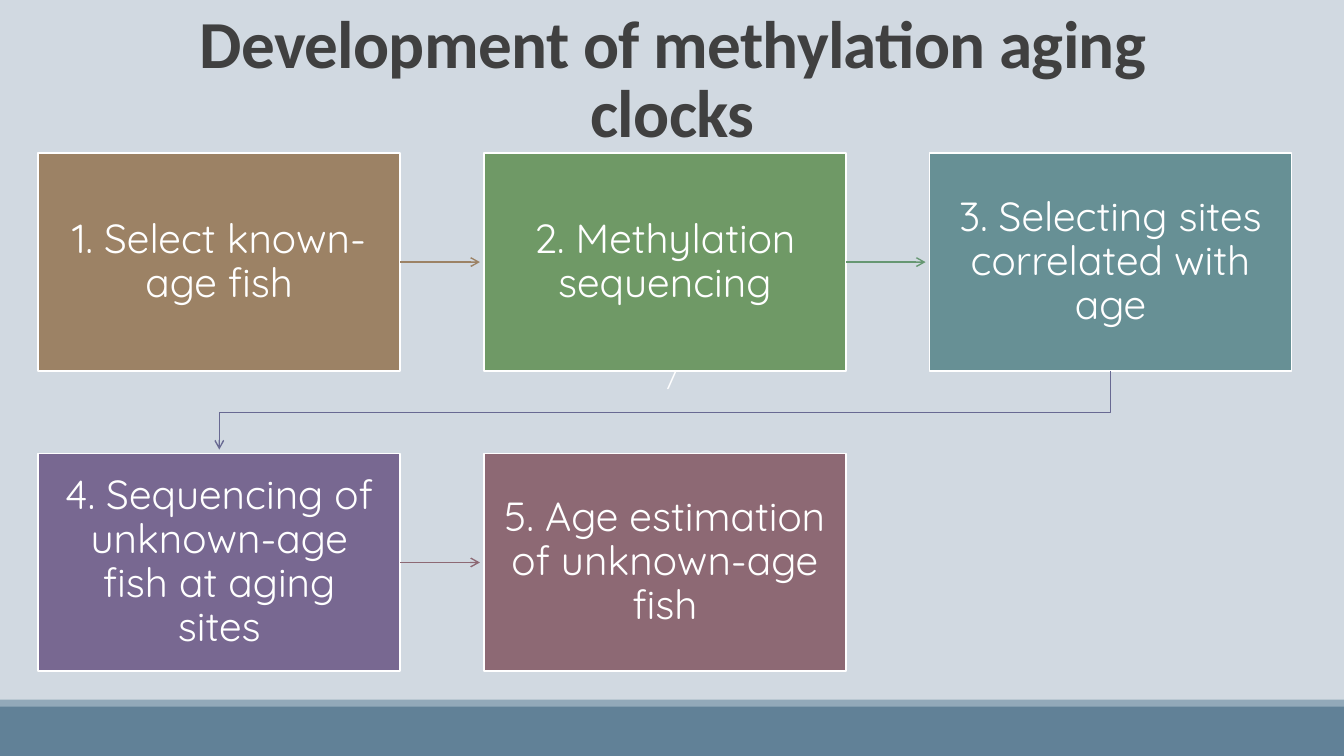
import pptx
import pptx.dml.color
import pptx.enum.shapes
import pptx.enum.text
import pptx.oxml
import pptx.oxml.ns
import pptx.util

Inches = pptx.util.Inches
Pt = pptx.util.Pt
RGBColor = pptx.dml.color.RGBColor

BACKGROUND = RGBColor(0xD1, 0xD9, 0xE1)
FOOTER = RGBColor(0x61, 0x81, 0x97)
FOOTER_EDGE = RGBColor(0x92, 0xA9, 0xB9)
TITLE_GRAY = RGBColor(0x40, 0x40, 0x40)
WHITE = RGBColor(0xFF, 0xFF, 0xFF)
BROWN = RGBColor(0x9C, 0x82, 0x65)
GREEN = RGBColor(0x6F, 0x99, 0x66)
TEAL = RGBColor(0x67, 0x90, 0x95)
PURPLE = RGBColor(0x78, 0x68, 0x91)
ROSE = RGBColor(0x8D, 0x69, 0x74)
ARROW_GREEN = RGBColor(0x66, 0x97, 0x72)
ARROW_BLUE = RGBColor(0x68, 0x69, 0x92)

SLIDE_WIDTH, SLIDE_HEIGHT = 13.33, 7.5
BOX_WIDTH, BOX_HEIGHT = 3.59, 2.16
LEFT, TOP = 0.38, 1.52
COLUMN_STEP, ROW_STEP = 4.42, 2.98
COLUMNS = 3
ARROW_GAP = 0.04

STEPS = [
    ("1. Select known-age fish", BROWN),
    ("2. Methylation sequencing", GREEN),
    ("3. Selecting sites correlated with age", TEAL),
    ("4. Sequencing of unknown-age fish at aging sites", PURPLE),
    ("5. Age estimation of unknown-age fish", ROSE),
]
ARROW_COLORS = [BROWN, ARROW_GREEN, ARROW_BLUE, ROSE]


class SlideBuilder:
    """Holds the slide and the shared style."""

    title_font = "Calibri"
    step_font = "Quicksand"

    def __init__(self, slide):
        self.slide = slide
        self.shapes = slide.shapes

    def set_text(self, shape, text, font, size, color, spacing=1.0, inset=None):
        frame = shape.text_frame
        frame.word_wrap = True
        frame.vertical_anchor = pptx.enum.text.MSO_ANCHOR.MIDDLE
        if inset is not None:
            frame.margin_left = frame.margin_right = Inches(inset)
            frame.margin_top = frame.margin_bottom = Inches(inset)
        paragraph = frame.paragraphs[0]
        paragraph.text = text
        paragraph.alignment = pptx.enum.text.PP_ALIGN.CENTER
        paragraph.line_spacing = spacing
        paragraph.font.name = font
        paragraph.font.size = Pt(size)
        paragraph.font.color.rgb = color
        return paragraph

    def rectangle(self, left, top, width, height, fill, line=None):
        shape = self.shapes.add_shape(
            pptx.enum.shapes.MSO_SHAPE.RECTANGLE,
            Inches(left), Inches(top), Inches(width), Inches(height))
        shape.shadow.inherit = False
        shape.fill.solid()
        shape.fill.fore_color.rgb = fill
        if line is None:
            shape.line.fill.background()
        else:
            shape.line.color.rgb = line
            shape.line.width = Pt(1.25)
        return shape

    def title(self, text):
        box = self.shapes.add_textbox(
            Inches(1.17), Inches(0.17), Inches(11), Inches(1.3))
        paragraph = self.set_text(box, text, self.title_font, 48, TITLE_GRAY, 0.85)
        paragraph.font.bold = True
        paragraph.runs[0].font._element.set("spc", "-50")

    def step(self, left, top, text, fill):
        box = self.rectangle(left, top, BOX_WIDTH, BOX_HEIGHT, fill, WHITE)
        self.set_text(box, text, self.step_font, 29, WHITE, 0.9, 0.18)
        return box

    def arrow_line(self, shape, color):
        shape.line.color.rgb = color
        shape.line.width = Pt(1)
        outline = shape.line._get_or_add_ln()
        outline.append(pptx.oxml.parse_xml(
            '<a:tailEnd %s type="arrow"/>' % pptx.oxml.ns.nsdecls("a")))

    def straight_arrow(self, source, target, color):
        middle = source.top + source.height // 2
        connector = self.shapes.add_connector(
            pptx.enum.shapes.MSO_CONNECTOR.STRAIGHT,
            source.left + source.width, middle,
            target.left - Inches(ARROW_GAP), middle)
        connector.begin_connect(source, 3)
        self.arrow_line(connector, color)
        connector._element.spPr.append(pptx.oxml.parse_xml(
            "<a:effectLst %s/>" % pptx.oxml.ns.nsdecls("a")))

    def return_arrow(self, source, target, color):
        start_x = source.left + source.width // 2
        end_x = target.left + target.width // 2
        start_y = source.top + source.height
        turn_y = (start_y + target.top) // 2
        builder = self.shapes.build_freeform(start_x, start_y, scale=1.0)
        builder.add_line_segments(
            [(start_x, turn_y), (end_x, turn_y),
             (end_x, target.top - Inches(ARROW_GAP))], close=False)
        shape = builder.convert_to_shape()
        shape.shadow.inherit = False
        shape.fill.background()
        self.arrow_line(shape, color)


def main():
    presentation = pptx.Presentation()
    presentation.slide_width = Inches(SLIDE_WIDTH)
    presentation.slide_height = Inches(SLIDE_HEIGHT)
    slide = presentation.slides.add_slide(presentation.slide_layouts[6])
    builder = SlideBuilder(slide)

    # Backdrop with its stray slash
    slide.background.fill.solid()
    slide.background.fill.fore_color.rgb = BACKGROUND
    backdrop = builder.rectangle(0, 0, SLIDE_WIDTH, SLIDE_HEIGHT, BACKGROUND)
    slash = builder.set_text(backdrop, "/", builder.title_font, 18, WHITE)
    slash.space_after = Pt(6)

    # Title and footer bands
    builder.title("Development of methylation aging clocks")
    builder.rectangle(0, 7, SLIDE_WIDTH, 0.5, FOOTER)
    builder.rectangle(0, 6.94, SLIDE_WIDTH, 0.07, FOOTER_EDGE)

    # Steps in reading order
    boxes = []
    for index, (text, fill) in enumerate(STEPS):
        row, column = divmod(index, COLUMNS)
        boxes.append(builder.step(
            LEFT + column * COLUMN_STEP, TOP + row * ROW_STEP, text, fill))

    # Arrows from each step to the next
    for source, target, color in zip(boxes, boxes[1:], ARROW_COLORS):
        if source.top == target.top:
            builder.straight_arrow(source, target, color)
        else:
            builder.return_arrow(source, target, color)

    presentation.save("out.pptx")


if __name__ == "__main__":
    main()
